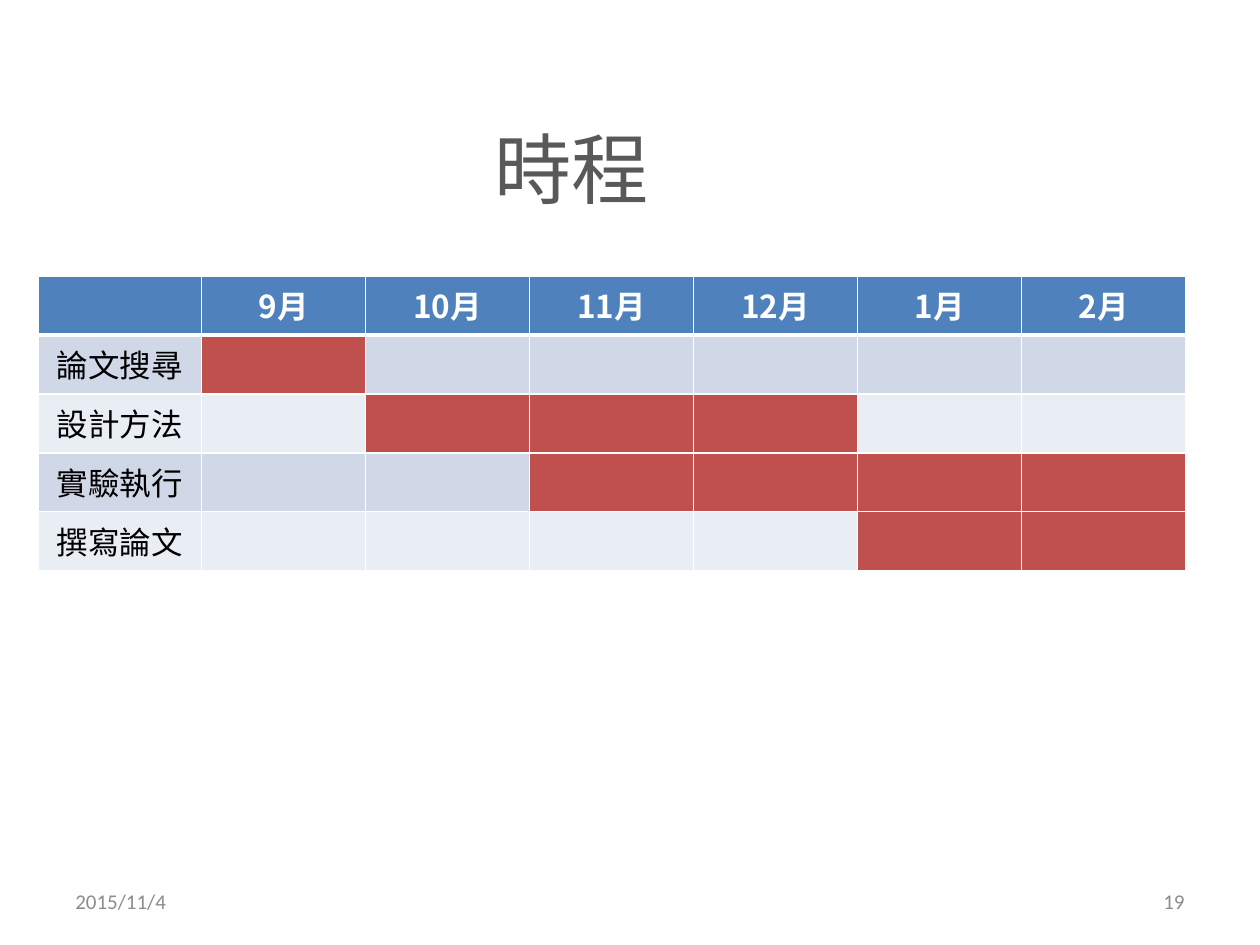
"""Build the thesis schedule slide: a title, a Gantt-style month table, date and page number."""
from lxml.etree import SubElement
from pptx import Presentation
from pptx.dml.color import RGBColor
from pptx.enum.text import MSO_ANCHOR as Anchor, PP_ALIGN as Align
from pptx.oxml.ns import qn
from pptx.util import Inches, Pt

COLORS = {
    "title": "595959", "header": "4F81BD", "busy": "C0504D", "odd": "D0D8E8",
    "even": "E9EDF4", "line": "FFFFFF", "label": "000000", "footer": "8C8C8C",
}
CJK = "Noto Sans CJK SC"
MONTHS = ["9月", "10月", "11月", "12月", "1月", "2月"]
TASKS = [("論文搜尋", 1, 1), ("設計方法", 2, 4), ("實驗執行", 3, 6), ("撰寫論文", 5, 6)]


def write(frame, text, size, color, align, face=CJK, bold=False):
    paragraph = frame.paragraphs[0]
    paragraph.text = text
    paragraph.alignment = align
    font = paragraph.font
    font.size, font.bold, font.name = Pt(size), bold, face
    font.color.rgb = RGBColor.from_string(COLORS[color])
    defaults = paragraph._p.pPr.find(qn("a:defRPr"))
    SubElement(defaults, qn("a:ea"), typeface=face)


def paint(cell, color, bottom=1):
    properties = cell._tc.get_or_add_tcPr()
    for side, width in (("L", 1), ("R", 1), ("T", 1), ("B", bottom)):
        border = SubElement(properties, qn(f"a:ln{side}"), w=str(Pt(width)))
        solid = SubElement(border, qn("a:solidFill"))
        SubElement(solid, qn("a:srgbClr"), val=COLORS["line"])
    cell.fill.solid()
    cell.fill.fore_color.rgb = RGBColor.from_string(COLORS[color])


prs = Presentation()
prs.slide_width, prs.slide_height = Inches(10), Inches(7.5)
slide = prs.slides.add_slide(prs.slide_layouts[5])

title = slide.shapes.title
title.left, title.top = Inches(0.04), Inches(0.71)
title.width, title.height = Inches(9), Inches(1.25)
title.text_frame.vertical_anchor = Anchor.MIDDLE
write(title.text_frame, "時程", 44, "title", Align.CENTER)

schedule = slide.shapes.add_table(
    len(TASKS) + 1, len(MONTHS) + 1, Inches(0.3), Inches(2.19), Inches(9.11), Inches(2.34)
).table

for column, month in enumerate([""] + MONTHS):
    header = schedule.cell(0, column)
    paint(header, "header", bottom=3)
    if month:
        write(header.text_frame, month, 18, "line", Align.CENTER, bold=True)

for row, (task, start, end) in enumerate(TASKS, 1):
    band = "odd" if row % 2 else "even"
    for column in range(len(MONTHS) + 1):
        top = 3 if row == 1 else 1
        paint(schedule.cell(row, column), "busy" if start <= column <= end else band)
    write(schedule.cell(row, 0).text_frame, task, 18, "label", Align.CENTER)

for text, left, align in (("2015/11/4", 0.5, Align.LEFT), ("19", 7.17, Align.RIGHT)):
    footer = slide.shapes.add_textbox(Inches(left), Inches(6.95), Inches(2.33), Inches(0.4))
    footer.text_frame.word_wrap = True
    footer.text_frame.vertical_anchor = Anchor.MIDDLE
    write(footer.text_frame, text, 12, "footer", align, face="Calibri")

prs.save("out.pptx")
